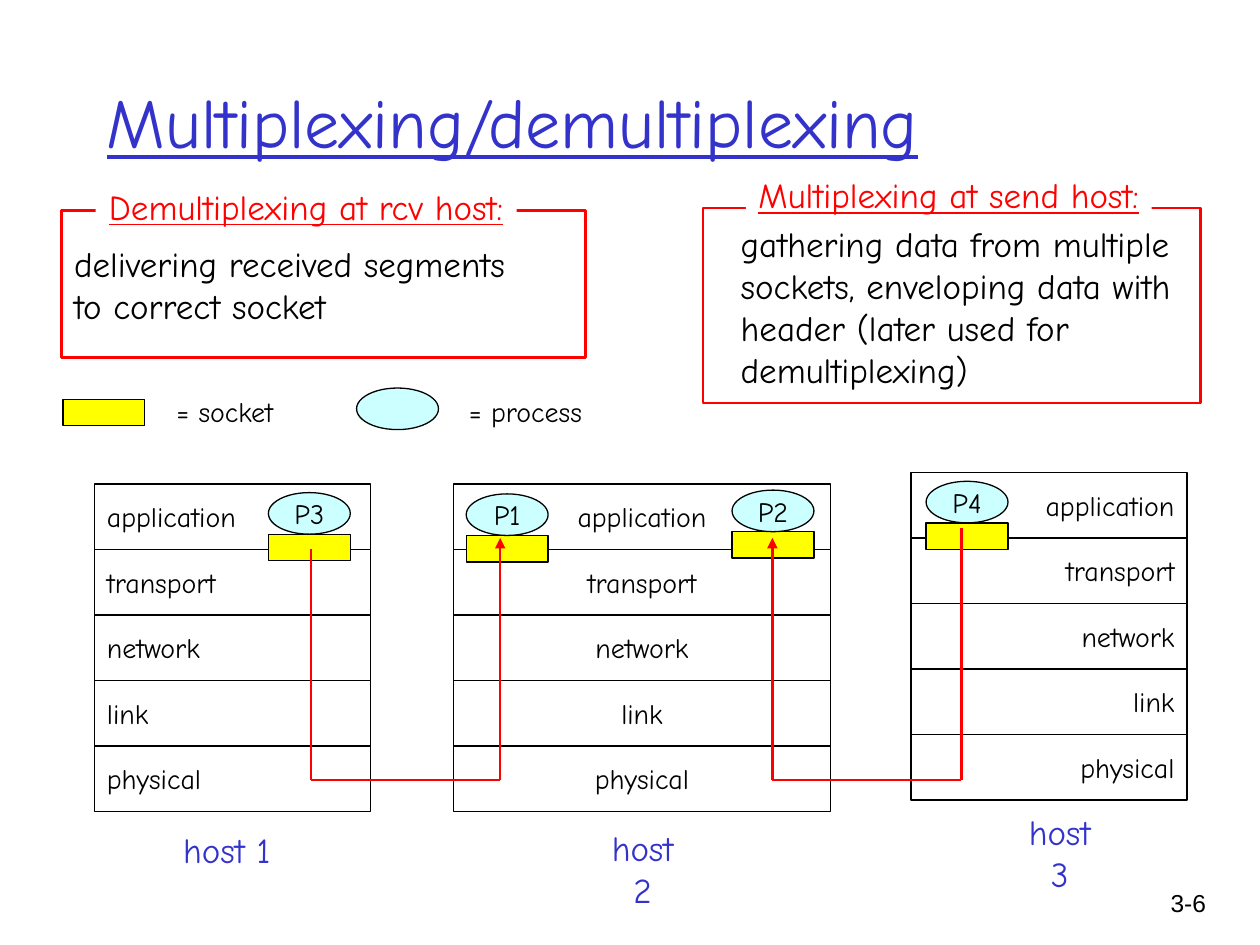
from dataclasses import dataclass

from lxml import etree
from pptx import Presentation
from pptx.dml.color import RGBColor
from pptx.enum.shapes import MSO_CONNECTOR, MSO_SHAPE
from pptx.enum.text import MSO_ANCHOR, PP_ALIGN
from pptx.oxml.ns import qn
from pptx.slide import Slide
from pptx.util import Inches, Pt

RECT, OVAL = MSO_SHAPE.RECTANGLE, MSO_SHAPE.OVAL
STRAIGHT = MSO_CONNECTOR.STRAIGHT
TOP, MIDDLE = MSO_ANCHOR.TOP, MSO_ANCHOR.MIDDLE
LEFT, CENTER, RIGHT = PP_ALIGN.LEFT, PP_ALIGN.CENTER, PP_ALIGN.RIGHT

BLACK = RGBColor(0x00, 0x00, 0x00)
WHITE = RGBColor(0xFF, 0xFF, 0xFF)
BLUE = RGBColor(0x33, 0x33, 0xCC)
RED = RGBColor(0xFF, 0x00, 0x00)
YELLOW = RGBColor(0xFF, 0xFF, 0x00)
CYAN = RGBColor(0xCC, 0xFF, 0xFF)

COLS, ROWS = 100, 75
LAYERS = ("application", "transport", "network", "link", "physical")
LAYER_H = 5.2
TOKEN_W, SOCKET_H, PROCESS_H = 6.5, 2.1, 3.3
BUS_Y = 61.9


@dataclass
class Painter:
    """Draws elements on a slide, measured in grid columns and rows."""

    slide: Slide
    cell: int = Inches(0.1)
    font: str = "Comic Neue"
    size: int = 16
    thin: float = 0.75
    thick: float = 1.5

    def units(self, *values):
        return [round(v * self.cell) for v in values]

    def set_text(self, sp, text, size=None, color=BLACK, align=LEFT, anchor=MIDDLE,
                 underline=None, font=None, wrap=False):
        tf = sp.text_frame
        tf.text = text
        tf.word_wrap = wrap
        tf.vertical_anchor = anchor
        for p in tf.paragraphs:
            p.alignment = align
            p.font.name = font or self.font
            p.font.size = Pt(size or self.size)
            p.font.color.rgb = color
            p.font.underline = underline

    def label(self, box, text, **style):
        sp = self.slide.shapes.add_textbox(*self.units(*box))
        self.set_text(sp, text, **{"anchor": TOP, **style})

    def shape(self, kind, box, fill=None, line=BLACK, width=None, text="", **style):
        sp = self.slide.shapes.add_shape(kind, *self.units(*box))
        sp.shadow.inherit = False
        if fill is None:
            sp.fill.background()
        else:
            sp.fill.solid()
            sp.fill.fore_color.rgb = fill
        if line is None:
            sp.line.fill.background()
        else:
            sp.line.color.rgb = line
            sp.line.width = Pt(width or self.thin)
        if text:
            self.set_text(sp, text, **style)

    def line(self, start, end, arrow=False):
        cx = self.slide.shapes.add_connector(STRAIGHT, *self.units(*start, *end))
        cx.line.color.rgb = RED
        cx.line.width = Pt(self.thick)
        properties = cx._element.spPr
        etree.SubElement(properties, qn("a:effectLst"))
        if arrow:
            etree.SubElement(properties.find(qn("a:ln")), qn("a:tailEnd"), type="triangle")

    def host(self, x, y, w, align):
        for i, layer in enumerate(LAYERS):
            self.shape(RECT, (x, y + i * LAYER_H, w, LAYER_H), WHITE,
                       text=layer, align=align)

    def socket(self, x, y):
        self.shape(RECT, (x, y, TOKEN_W, SOCKET_H), YELLOW)

    def process(self, x, y, name=""):
        self.shape(OVAL, (x, y, TOKEN_W, PROCESS_H), CYAN, text=name, align=CENTER)

    def route(self, source, target):
        (x1, y1), (x2, y2) = source, target
        self.line((x1, y1), (x1, BUS_Y))
        self.line((x1, BUS_Y), (x2, BUS_Y))
        self.line((x2, BUS_Y), (x2, y2), arrow=True)

    def panel(self, box, text=""):
        self.shape(RECT, box, line=RED, width=self.thick, text=text, size=20)

    def heading(self, box, text):
        self.shape(RECT, box, WHITE, line=None, text=text, size=20, color=RED,
                   align=CENTER, anchor=TOP, underline=True, wrap=True)


def main():
    prs = Presentation()
    prs.slide_width, prs.slide_height = COLS * Painter.cell, ROWS * Painter.cell
    s = Painter(prs.slides.add_slide(prs.slide_layouts[6]))

    s.label((89.3, 70, 7.4, 5), "3-6", size=14, font="Arial", align=RIGHT, wrap=True)
    s.label((7.5, 3.3, 85, 12.5), "Multiplexing/demultiplexing", size=40, color=BLUE,
            underline=True, anchor=MIDDLE, wrap=True)

    s.host(7.5, 38.4, 21.9, LEFT)
    s.host(72.3, 37.5, 21.9, RIGHT)
    s.host(36, 38.4, 29.9, CENTER)
    for name, x, y in (("P2", 58.1, 38.9), ("P3", 21.3, 39.1),
                       ("P4", 73.5, 38.2), ("P1", 37, 39.2)):
        s.socket(x, y + PROCESS_H)
        s.process(x, y, name)
    for number, x, y in ((1, 13.4, 65.3), (2, 46.4, 65.1), (3, 79.5, 63.8)):
        s.label((x, y, 9.2, 4.4), f"host {number}", size=20, color=BLUE, align=CENTER)

    s.route((24.7, 43.6), (39.7, 42.7))
    s.route((76.3, 41.9), (61.3, 42.7))

    s.socket(5, 31.7)
    s.process(28.3, 30.8)
    s.label((13, 30.8, 9.7, 3.7), "= socket", align=CENTER)
    s.label((36.2, 30.8, 11, 3.7), "= process", align=CENTER)

    s.panel((4.9, 16.7, 41.6, 11.7), "delivering received segments\nto correct socket")
    s.heading((7.6, 14.2, 33.4, 4.4), "Demultiplexing at rcv host:")
    s.label((57.8, 17.2, 37.2, 14.4),
            "gathering data from multiple\nsockets, enveloping data with\n"
            "header (later used for\ndemultiplexing)", size=20, wrap=True)
    s.panel((55.8, 16.5, 39.5, 15.5))
    s.heading((59.2, 13.3, 32.2, 4.4), "Multiplexing at send host:")

    prs.save("out.pptx")


if __name__ == "__main__":
    main()
